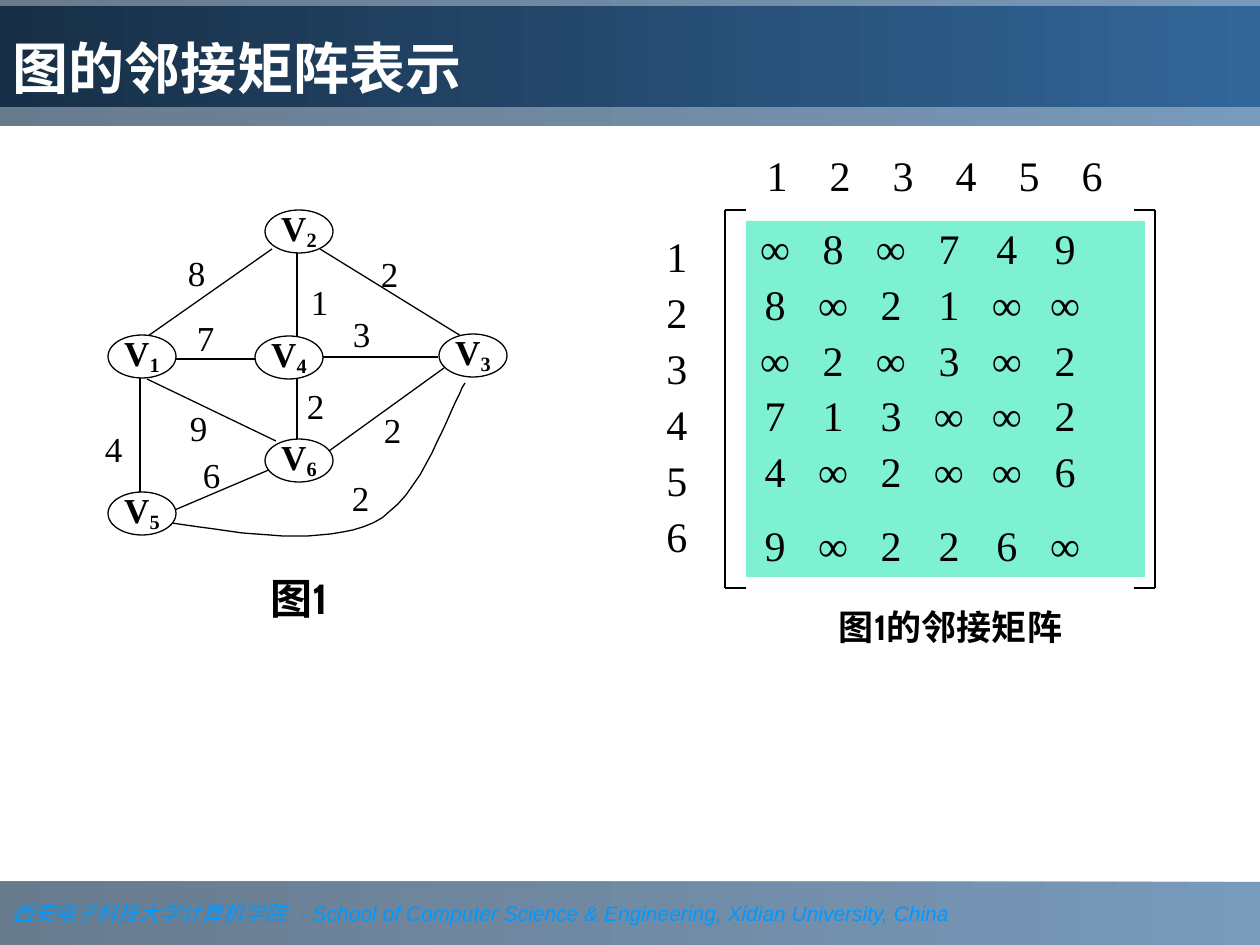
"""Build the slide on the adjacency matrix of a weighted graph."""
from dataclasses import dataclass
from typing import NamedTuple

from lxml.etree import SubElement
from pptx import Presentation
from pptx.dml.color import RGBColor
from pptx.enum.shapes import MSO_CONNECTOR, MSO_SHAPE
from pptx.enum.text import MSO_ANCHOR, PP_ALIGN
from pptx.oxml.ns import qn
from pptx.util import Pt

EMU_PER_PX = 914400 / 126
BLACK = RGBColor(0x00, 0x00, 0x00)
WHITE = RGBColor(0xFF, 0xFF, 0xFF)
BLUE = RGBColor(0x33, 0x66, 0x99)
NAVY = RGBColor(0x17, 0x2F, 0x46)
SLATE = RGBColor(0x1B, 0x37, 0x53)
SKY = RGBColor(0x00, 0x99, 0xFF)
TEAL = RGBColor(0x00, 0xE4, 0xA8)
SERIF, SANS, HEADING = "Times New Roman", "Arial", "Cabin"


class Box(NamedTuple):
    left: int
    top: int
    width: int
    height: int


class Edge(NamedTuple):
    x1: int
    y1: int
    x2: int
    y2: int


class Weight(NamedTuple):
    value: str
    left: int
    top: int


class Vertex(NamedTuple):
    number: str
    left: int
    top: int


@dataclass(frozen=True)
class Style:
    size: int
    name: str = SERIF
    color: RGBColor = BLACK
    bold: bool = False
    italic: bool = False


WEIGHTS = [
    Weight("8", 188, 260), Weight("2", 381, 261), Weight("7", 197, 325),
    Weight("3", 353, 321), Weight("4", 105, 436), Weight("9", 190, 415),
    Weight("6", 203, 462), Weight("2", 352, 485), Weight("2", 384, 417),
    Weight("1", 311, 289), Weight("2", 307, 393),
]
EDGES = [
    Edge(272, 249, 148, 336), Edge(320, 249, 461, 336), Edge(147, 379, 276, 441),
    Edge(262, 359, 161, 359), Edge(315, 357, 438, 357), Edge(271, 469, 170, 512),
    Edge(297, 336, 297, 252), Edge(444, 368, 329, 451), Edge(140, 378, 140, 494),
    Edge(297, 378, 297, 441),
]
VERTICES = [
    Vertex("1", 108, 335), Vertex("2", 265, 210), Vertex("3", 439, 334),
    Vertex("4", 255, 336), Vertex("5", 108, 492), Vertex("6", 265, 439),
]
V5_TO_V3 = [
    [(171, 523), (247, 534), (324, 546), (373, 523)],
    [(373, 523), (422, 500), (450, 407), (465, 383)],
]
MATRIX = ["∞8∞749", "8∞21∞∞", "∞2∞3∞2", "713∞∞2", "4∞2∞∞6", "9∞226∞"]
INDEXES = "123456"


def px(length: float) -> int:
    return round(length * EMU_PER_PX)


def apply(target, **values) -> None:
    for key, value in values.items():
        setattr(target, key, value)


def place(box: Box) -> list[int]:
    return [px(length) for length in box]


def prepare(frame, inset: tuple[int, int] = (0, 0), anchor=MSO_ANCHOR.TOP) -> None:
    across, down = map(px, inset)
    apply(frame, word_wrap=True, vertical_anchor=anchor, margin_left=across,
          margin_right=across, margin_top=down, margin_bottom=down)


def add_run(paragraph, text: str, style: Style):
    run = paragraph.add_run()
    run.text = text
    apply(run.font, size=Pt(style.size), name=style.name, bold=style.bold, italic=style.italic)
    run.font.color.rgb = style.color
    return run


def set_tabs(paragraph, stops: list[int], align: str = "ctr") -> None:
    tabs = SubElement(paragraph._p.get_or_add_pPr(), qn("a:tabLst"))
    for stop in stops:
        SubElement(tabs, qn("a:tab"), pos=str(px(stop)), algn=align)


def set_alpha(color, percent: int) -> None:
    SubElement(color, qn("a:alpha"), val=str(percent * 1000))


def add_preset(slide, kind, box: Box):
    shape = slide.shapes.add_shape(kind, *place(box))
    shape.shadow.inherit = False
    shape.line.fill.background()
    return shape


def add_band(slide, box: Box, dark: RGBColor, alpha: int = 100):
    band = add_preset(slide, MSO_SHAPE.RECTANGLE, box)
    band.fill.gradient()
    band.fill.gradient_angle = 180
    for stop, color in zip(band.fill.gradient_stops, (BLUE, dark)):
        stop.color.rgb = color
    if alpha < 100:
        for color in band._element.spPr.iter(qn("a:srgbClr")):
            set_alpha(color, alpha)
    return band


def add_lines(frame, lines: list[str], style: Style, spacing: float = 1.0,
              align=PP_ALIGN.LEFT, tabs: list[int] | None = None) -> None:
    for number, line in enumerate(lines):
        paragraph = frame.add_paragraph() if number else frame.paragraphs[0]
        apply(paragraph, alignment=align, line_spacing=spacing, space_before=Pt(6 if number else 0))
        if tabs:
            set_tabs(paragraph, tabs)
        add_run(paragraph, line, style)


def add_text(slide, box: Box, lines: list[str], style: Style, inset: tuple[int, int] = (0, 0),
             anchor=MSO_ANCHOR.TOP, **layout) -> None:
    frame = slide.shapes.add_textbox(*place(box)).text_frame
    prepare(frame, inset, anchor)
    add_lines(frame, lines, style, **layout)


def add_edge(slide, edge: Edge) -> None:
    line = slide.shapes.add_connector(MSO_CONNECTOR.STRAIGHT, *map(px, edge))
    apply(line.line, width=Pt(0.75))
    line.line.color.rgb = BLACK
    SubElement(line._element.spPr, qn("a:effectLst"))


def add_curve(slide, segments: list, steps: int = 16) -> None:
    points = [segments[0][0]]
    for a, b, c, d in segments:
        for step in range(1, steps + 1):
            t = step / steps
            shares = ((1 - t) ** 3, 3 * t * (1 - t) ** 2, 3 * t * t * (1 - t), t ** 3)
            points.append(tuple(sum(s * p[axis] for s, p in zip(shares, (a, b, c, d)))
                                for axis in (0, 1)))
    builder = slide.shapes.build_freeform(*points[0], scale=EMU_PER_PX)
    builder.add_line_segments(points[1:], close=False)
    curve = builder.convert_to_shape()
    curve.shadow.inherit = False
    curve.fill.background()
    curve.line.color.rgb = BLACK
    curve.line.width = Pt(0.75)


def add_vertex(slide, vertex: Vertex) -> None:
    oval = add_preset(slide, MSO_SHAPE.OVAL, Box(vertex.left, vertex.top, 68, 43))
    oval.fill.solid()
    oval.fill.fore_color.rgb = WHITE
    oval.line.color.rgb = BLACK
    oval.line.width = Pt(0.75)
    prepare(oval.text_frame)
    style = Style(20, bold=True)
    add_lines(oval.text_frame, ["V"], style, spacing=0.72, align=PP_ALIGN.CENTER)
    subscript = add_run(oval.text_frame.paragraphs[0], vertex.number, style)
    subscript.font._rPr.set("baseline", "-16000")


def add_matrix(slide) -> None:
    panel = add_preset(slide, MSO_SHAPE.RECTANGLE, Box(746, 221, 399, 356))
    panel.fill.solid()
    panel.fill.fore_color.rgb = TEAL
    set_alpha(next(panel._element.spPr.iter(qn("a:srgbClr"))), 50)
    prepare(panel.text_frame, (13, 6), MSO_ANCHOR.MIDDLE)
    rows = ["\t" + "\t".join(row) for row in MATRIX]
    add_lines(panel.text_frame, rows, Style(24), spacing=0.9,
              tabs=[16 + 58 * column for column in range(6)])
    panel.text_frame.paragraphs[-1].space_before = Pt(16)
    for spine, tip in ((725, 746), (1155, 1134)):
        add_edge(slide, Edge(spine, 210, spine, 588))
        for y in (210, 588):
            add_edge(slide, Edge(spine, y, tip, y))
    add_text(slide, Box(651, 210, 52, 378), list(INDEXES), Style(24), anchor=MSO_ANCHOR.MIDDLE,
             spacing=0.9, align=PP_ALIGN.CENTER)
    add_text(slide, Box(735, 157, 399, 42), ["\t" + "\t".join(INDEXES)], Style(24),
             anchor=MSO_ANCHOR.MIDDLE, spacing=0.9, tabs=[42 + 63 * column for column in range(6)])


def main() -> None:
    deck = Presentation()
    apply(deck, slide_width=px(1260), slide_height=px(945))
    slide = deck.slides.add_slide(deck.slide_layouts[6])

    footer = add_band(slide, Box(0, 882, 1260, 63), SLATE, 66).text_frame
    prepare(footer, (13, 6), MSO_ANCHOR.MIDDLE)
    credit = footer.paragraphs[0]
    credit.alignment = PP_ALIGN.LEFT
    set_tabs(credit, [287], "l")
    add_run(credit, "西安电子科技大学计算机学院\t", Style(12, SERIF, SKY, italic=True))
    add_run(credit, "- School of Computer Science & Engineering, Xidian University, China",
            Style(12, SANS, SKY, italic=True))

    add_band(slide, Box(0, 0, 1260, 126), SLATE, 66)
    title = add_band(slide, Box(0, 6, 1260, 101), NAVY).text_frame
    prepare(title, (13, 6), MSO_ANCHOR.BOTTOM)
    add_lines(title, ["图的邻接矩阵表示"], Style(32, HEADING, WHITE, bold=True))

    for edge in EDGES:
        add_edge(slide, edge)
    add_curve(slide, V5_TO_V3)
    for weight in WEIGHTS:
        add_text(slide, Box(weight.left, weight.top, 38, 35), [weight.value], Style(20), spacing=0.8)
    for vertex in VERTICES:
        add_vertex(slide, vertex)
    add_matrix(slide)
    for box, caption, size in ((Box(221, 567, 157, 63), "图1", 24),
                               (Box(788, 599, 325, 55), "图1的邻接矩阵", 20)):
        add_text(slide, box, [caption], Style(size, HEADING, bold=True), inset=(13, 6),
                 align=PP_ALIGN.CENTER)
    deck.save("out.pptx")


if __name__ == "__main__":
    main()
